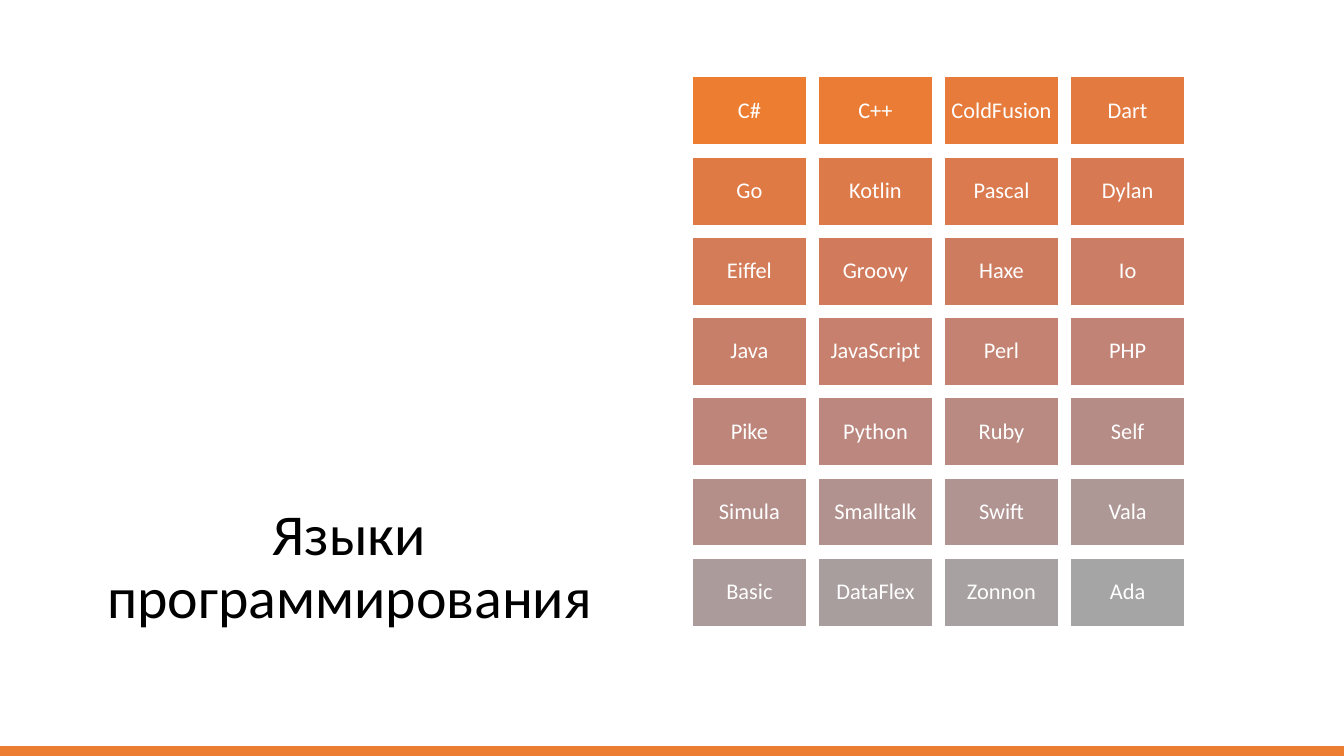
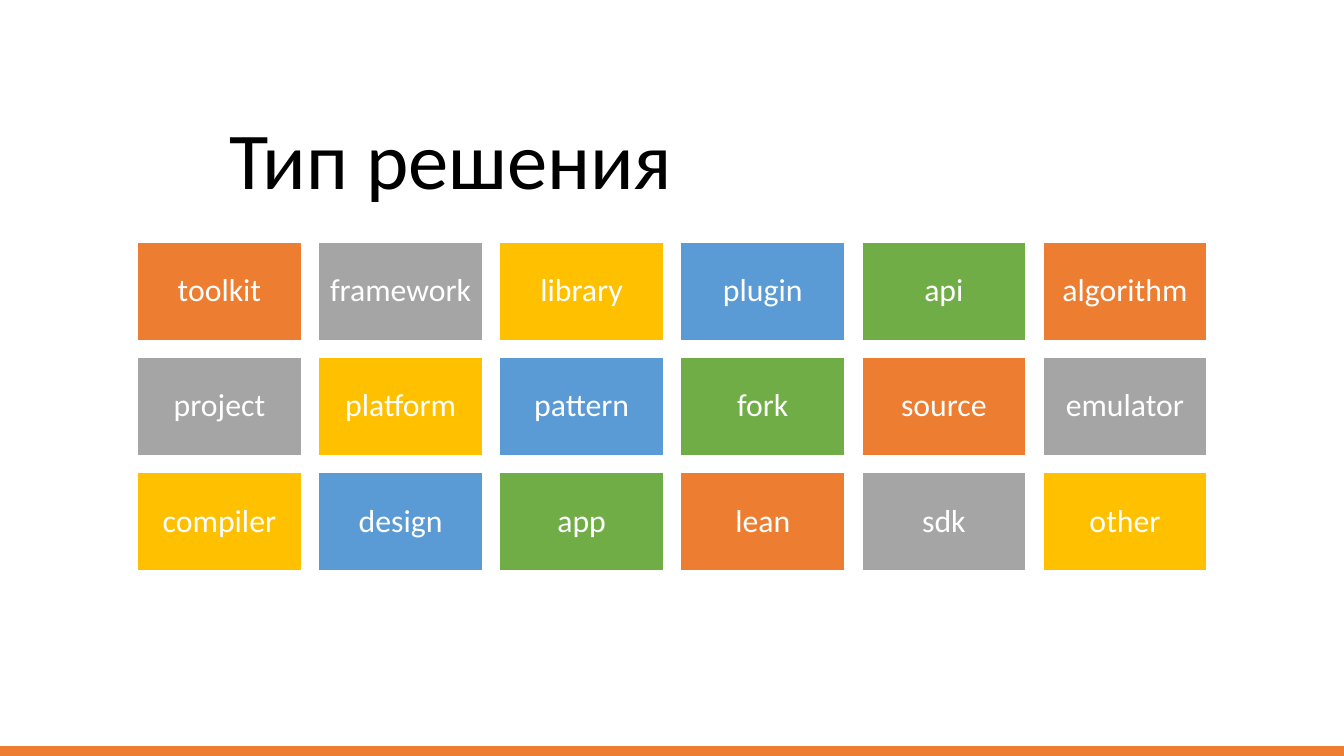
from colorsys import hls_to_rgb, rgb_to_hls
from dataclasses import dataclass
from itertools import cycle
from typing import Any, Iterable

from lxml.etree import SubElement
from pptx import Presentation
from pptx.dml.color import RGBColor
from pptx.enum.shapes import MSO_CONNECTOR as Connector, MSO_SHAPE as Preset
from pptx.enum.text import MSO_ANCHOR as Anchor, PP_ALIGN as Align
from pptx.oxml.ns import qn
from pptx.slide import Slide
from pptx.text.text import TextFrame
from pptx.util import Pt


@dataclass(frozen=True)
class Theme:
    font: str = "Calibri"
    black: RGBColor = RGBColor(0x00, 0x00, 0x00)
    white: RGBColor = RGBColor(0xFF, 0xFF, 0xFF)
    orange: RGBColor = RGBColor(0xED, 0x7D, 0x31)
    grey: RGBColor = RGBColor(0xA5, 0xA5, 0xA5)
    yellow: RGBColor = RGBColor(0xFF, 0xC0, 0x00)
    blue: RGBColor = RGBColor(0x5B, 0x9B, 0xD5)
    green: RGBColor = RGBColor(0x70, 0xAD, 0x47)
    long_title: float = 31
    short_title: float = 43.2
    language: float = 12
    solution: float = 17


@dataclass(frozen=True)
class Heading:
    text: str
    left: float
    top: float
    width: float
    height: float
    size: float
    anchor: Anchor


@dataclass(frozen=True)
class TileGrid:
    labels: list[str]
    columns: int
    left: float
    top: float
    tile_width: float
    size: float


THEME = Theme()
WIDTH, HEIGHT = 720, 405
BAND_Y, BAND_WEIGHT = 402.5, 6
TILE_ASPECT, TILE_GAP, TILE_INSET = 0.6, 0.1, 0.3
TITLE_INSET = 7.2

LANGUAGE_HEADING = Heading("Языки программирования", 32.4, 252, 309.6, 345 - 252,
                           THEME.long_title, Anchor.BOTTOM)
LANGUAGES = TileGrid(
    ["C#", "C++", "ColdFusion", "Dart",
     "Go", "Kotlin", "Pascal", "Dylan",
     "Eiffel", "Groovy", "Haxe", "Io",
     "Java", "JavaScript", "Perl", "PHP",
     "Pike", "Python", "Ruby", "Self",
     "Simula", "Smalltalk", "Swift", "Vala",
     "Basic", "DataFlex", "Zonnon", "Ada"],
    4, 370.8, 41, 61.4, THEME.language)

SOLUTION_HEADING = Heading("Тип решения", 74, 57, 335, 47,
                           THEME.short_title, Anchor.TOP)
SOLUTIONS = TileGrid(
    ["toolkit", "framework", "library", "plugin", "api", "algorithm",
     "project", "platform", "pattern", "fork", "source", "emulator",
     "compiler", "design", "app", "lean", "sdk", "other"],
    6, 73.5, 129.6, 88.2, THEME.solution)


def apply(target: Any, values: dict[str, Any]) -> None:
    for attribute, value in values.items():
        setattr(target, attribute, value)


def blend(start: RGBColor, end: RGBColor, steps: int) -> list[RGBColor]:
    first, last = (rgb_to_hls(*(channel / 255 for channel in color))
                   for color in (start, end))
    shades = []
    for step in range(steps):
        share = step / (steps - 1)
        hls = (a + (b - a) * share for a, b in zip(first, last))
        shades.append(RGBColor(*(round(channel * 255) for channel in hls_to_rgb(*hls))))
    return shades


def write(frame: TextFrame, text: str, size: float, color: RGBColor,
          inset: float, anchor: Anchor) -> None:
    margins = {f"margin_{side}": Pt(inset) for side in ("left", "top", "right", "bottom")}
    apply(frame, {"word_wrap": True, "vertical_anchor": anchor, **margins})
    paragraph = frame.paragraphs[0]
    apply(paragraph, {"text": text, "alignment": Align.CENTER, "line_spacing": 0.9})
    font = paragraph.runs[0].font
    apply(font, {"name": THEME.font, "size": Pt(size)})
    font.color.rgb = color


def draw_band(slide: Slide) -> None:
    band = slide.shapes.add_connector(Connector.STRAIGHT, Pt(0), Pt(BAND_Y),
                                      Pt(WIDTH), Pt(BAND_Y))
    band.line.width = Pt(BAND_WEIGHT)
    band.line.color.rgb = THEME.orange
    SubElement(band.element.spPr, qn("a:effectLst"))


def draw_heading(slide: Slide, heading: Heading) -> None:
    title = slide.shapes.add_textbox(Pt(heading.left), Pt(heading.top),
                                     Pt(heading.width), Pt(heading.height))
    write(title.text_frame, heading.text, heading.size, THEME.black,
          TITLE_INSET, heading.anchor)


def draw_grid(slide: Slide, grid: TileGrid, colors: Iterable[RGBColor]) -> None:
    width, height = grid.tile_width, grid.tile_width * TILE_ASPECT
    gap = width * TILE_GAP
    for index, (label, color) in enumerate(zip(grid.labels, colors)):
        row, column = divmod(index, grid.columns)
        tile = slide.shapes.add_shape(
            Preset.RECTANGLE,
            Pt(grid.left + column * (width + gap)), Pt(grid.top + row * (height + gap)),
            Pt(width), Pt(height))
        tile.shadow.inherit = False
        tile.fill.solid()
        tile.fill.fore_color.rgb = color
        tile.line.color.rgb = THEME.white
        tile.line.width = Pt(1)
        write(tile.text_frame, label, grid.size, THEME.white,
              grid.size * TILE_INSET, Anchor.MIDDLE)


def main() -> None:
    deck = Presentation()
    apply(deck, {"slide_width": Pt(WIDTH), "slide_height": Pt(HEIGHT)})
    language_shades = blend(THEME.orange, THEME.grey, len(LANGUAGES.labels))
    solution_colors = cycle([THEME.orange, THEME.grey, THEME.yellow, THEME.blue, THEME.green])
    for heading, grid, colors in (
        (LANGUAGE_HEADING, LANGUAGES, language_shades),
        (SOLUTION_HEADING, SOLUTIONS, solution_colors),
    ):
        slide = deck.slides.add_slide(deck.slide_layouts[6])
        draw_band(slide)
        draw_heading(slide, heading)
        draw_grid(slide, grid, colors)
    deck.save("out.pptx")


if __name__ == "__main__":
    main()
